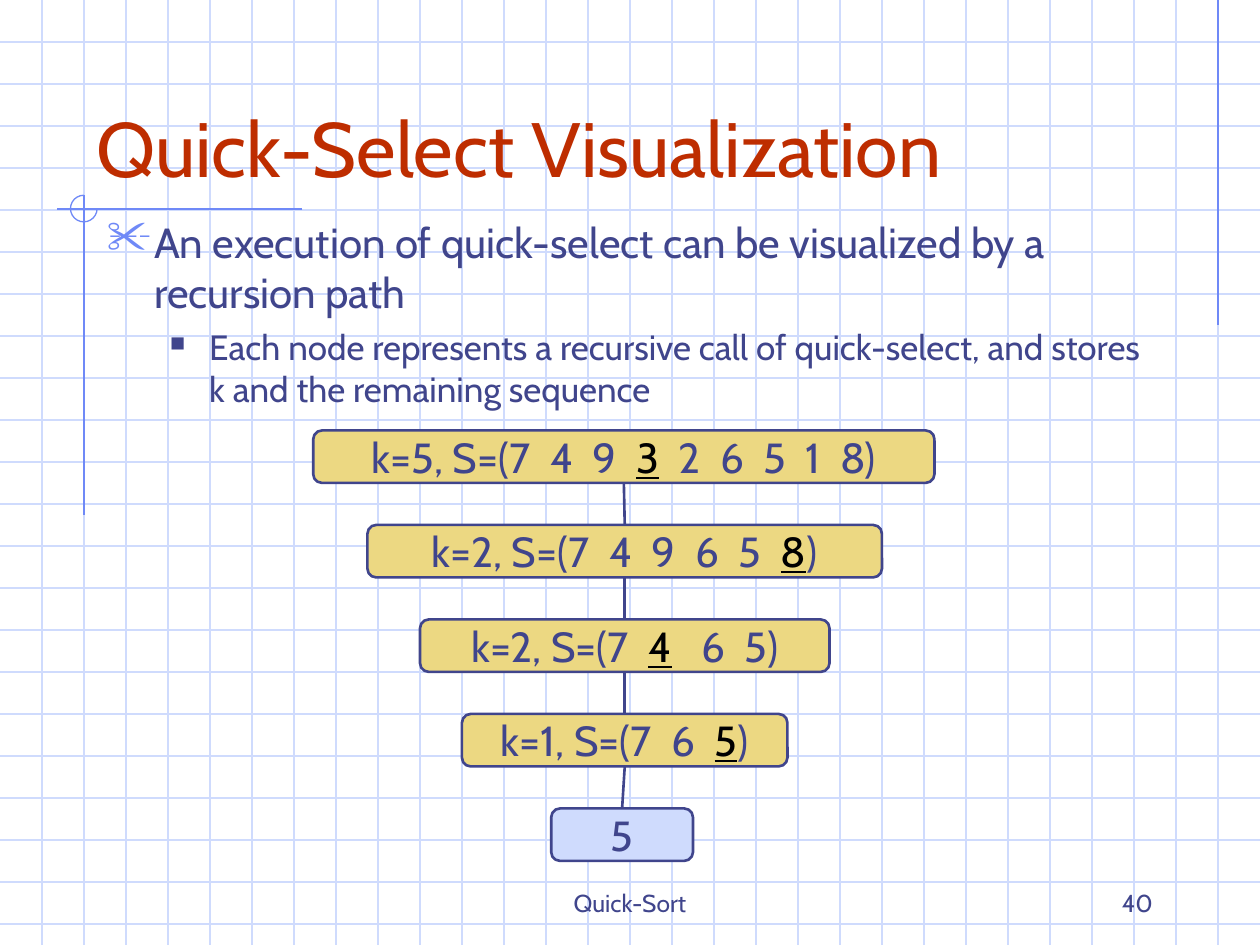
from itertools import pairwise

from lxml.etree import SubElement
from pptx import Presentation
from pptx.dml.color import RGBColor
from pptx.enum.shapes import MSO_CONNECTOR as Connector, MSO_SHAPE as Shape
from pptx.enum.text import MSO_ANCHOR as Anchor, PP_ALIGN as Align
from pptx.oxml.ns import qn
from pptx.util import Pt

COLORS = {
    "grid": "CFDBFD",
    "accent": "6F89F7",
    "ink": "40458C",
    "title": "BE2D00",
    "pivot": "000000",
    "node": "ECD882",
    "result": "CFDBFD",
}
FONT = "Cabin"
WIDTH, HEIGHT, GRID = 720, 540, 24
NODE_TOP, NODE_HEIGHT, NODE_PITCH = 246, 30, 54
NUMBER_GAP = 5.7


def color(name):
    return RGBColor.from_string(COLORS[name])


class SlideBuilder:
    """Draws elements in one style on the current slide; lengths are points."""

    def __init__(self, slide):
        self.slide = slide
        self.shapes = slide.shapes

    def style_font(self, font, size, tint="ink"):
        font.name = FONT
        font.size = Pt(size)
        font.color.rgb = color(tint)

    def line(self, x1, y1, x2, y2, tint="accent", weight=0.75):
        line = self.shapes.add_connector(
            Connector.STRAIGHT, Pt(x1), Pt(y1), Pt(x2), Pt(y2))
        line.line.color.rgb = color(tint)
        line.line.width = Pt(weight)
        SubElement(line._element.spPr, qn("a:effectLst"))
        return line

    def link(self, parent, child):
        """Joins the bottom of one node to the top of the next."""
        line = self.line(0, 0, 0, 0, "ink", 1.5)
        line.begin_connect(parent, 2)
        line.end_connect(child, 0)

    def grid(self):
        for y in range(GRID, HEIGHT, GRID):
            self.line(0, y, WIDTH, y, "grid")
        for x in range(GRID, WIDTH, GRID):
            self.line(x, 0, x, HEIGHT, "grid")

    def arc(self, left, top, size):
        """Three quarters of a circle, open at the upper right."""
        arc = self.shapes.add_shape(
            Shape.ARC, Pt(left), Pt(top), Pt(size), Pt(size))
        arc.shadow.inherit = False
        arc.adjustments[0], arc.adjustments[1] = 0, 162
        arc.fill.background()
        arc.line.color.rgb = color("accent")
        arc.line.width = Pt(0.75)

    def text_box(self, left, top, width, height, anchor=Anchor.TOP):
        box = self.shapes.add_textbox(Pt(left), Pt(top), Pt(width), Pt(height))
        frame = box.text_frame
        frame.word_wrap = True
        frame.vertical_anchor = anchor
        return frame

    def label(self, text, left, top, width, height, size, align, tint="ink"):
        frame = self.text_box(left, top, width, height, Anchor.BOTTOM)
        para = frame.paragraphs[0]
        para.text = text
        para.alignment = align
        self.style_font(para.font, size, tint)

    def bullet(self, para, text, size, mark, mark_tint, percent, margin, hang):
        para.text = text
        props = para._p.get_or_add_pPr()
        props.set("marL", str(Pt(margin)))
        props.set("indent", str(-Pt(hang)))
        tint = SubElement(props, qn("a:buClr"))
        SubElement(tint, qn("a:srgbClr"), val=COLORS[mark_tint])
        SubElement(props, qn("a:buSzPct"), val=str(percent * 1000))
        SubElement(props, qn("a:buChar"), char=mark)
        self.style_font(para.font, size)

    def node(self, level, left, width, fill="node"):
        """Returns the box and its empty paragraph."""
        box = self.shapes.add_shape(
            Shape.ROUNDED_RECTANGLE, Pt(left),
            Pt(NODE_TOP + level * NODE_PITCH), Pt(width), Pt(NODE_HEIGHT))
        box.shadow.inherit = False
        box.fill.solid()
        box.fill.fore_color.rgb = color(fill)
        box.line.color.rgb = color("ink")
        box.line.width = Pt(1.5)
        frame = box.text_frame
        frame.word_wrap = False
        frame.vertical_anchor = Anchor.MIDDLE
        para = frame.paragraphs[0]
        para.alignment = Align.CENTER
        self.style_font(para.font, 24)
        return box, para

    def call_node(self, level, left, width, k, numbers, pivot, pivot_gap):
        """A node that stores k and the sequence, its pivot underlined."""
        box, para = self.node(level, left, width)
        para.add_run().text = f"k={k}, S=("
        for index, number in enumerate(numbers):
            if index:
                space = para.add_run()
                space.text = " "
                gap = pivot_gap if numbers[index - 1] == pivot else NUMBER_GAP
                space._r.get_or_add_rPr().set("spc", str(round(gap * 100)))
            span = para.add_run()
            span.text = str(number)
            if number == pivot:
                span.font.underline = True
                span.font.color.rgb = color("pivot")
        para.add_run().text = ")"
        return box


def main():
    deck = Presentation()
    deck.slide_width, deck.slide_height = Pt(WIDTH), Pt(HEIGHT)
    page = SlideBuilder(deck.slides.add_slide(deck.slide_layouts[6]))

    page.grid()
    page.line(696, 0, 696, 186)
    page.line(172.8, 119.4, 32.4, 119.4)
    page.line(48, 111.6, 48, 294.5)
    page.arc(40.3, 111.6, 15.2)

    page.label("Quick-Sort", 246, 492, 228, 36, 14, Align.CENTER)
    page.label("40", 516, 492, 150, 36, 14, Align.RIGHT)
    page.label("Quick-Select Visualization", 48, 24, 612, 90, 44,
               Align.LEFT, "title")

    body = page.text_box(54, 120, 618, 156)
    page.bullet(
        body.paragraphs[0],
        "An execution of quick-select can be visualized by a recursion path",
        24, "✂", "accent", 110, 27, 27)
    detail = body.add_paragraph()
    detail.level = 1
    detail.space_before = Pt(5)
    page.bullet(
        detail,
        "Each node represents a recursive call of quick-select, "
        "and stores k and the remaining sequence",
        20, "■", "ink", 60, 58.5, 22.5)

    calls = [
        (179, 355, 5, [7, 4, 9, 3, 2, 6, 5, 1, 8], 3, NUMBER_GAP),
        (210, 294, 2, [7, 4, 9, 6, 5, 8], 8, NUMBER_GAP),
        (240, 234, 2, [7, 4, 6, 5], 4, 2 * NUMBER_GAP),
        (264, 186, 1, [7, 6, 5], 5, NUMBER_GAP),
    ]
    nodes = [page.call_node(level, *call) for level, call in enumerate(calls)]
    result, para = page.node(len(calls), 315, 81, "result")
    para.text = "5"
    for parent, child in pairwise([*nodes, result]):
        page.link(parent, child)

    deck.save("out.pptx")


if __name__ == "__main__":
    main()
